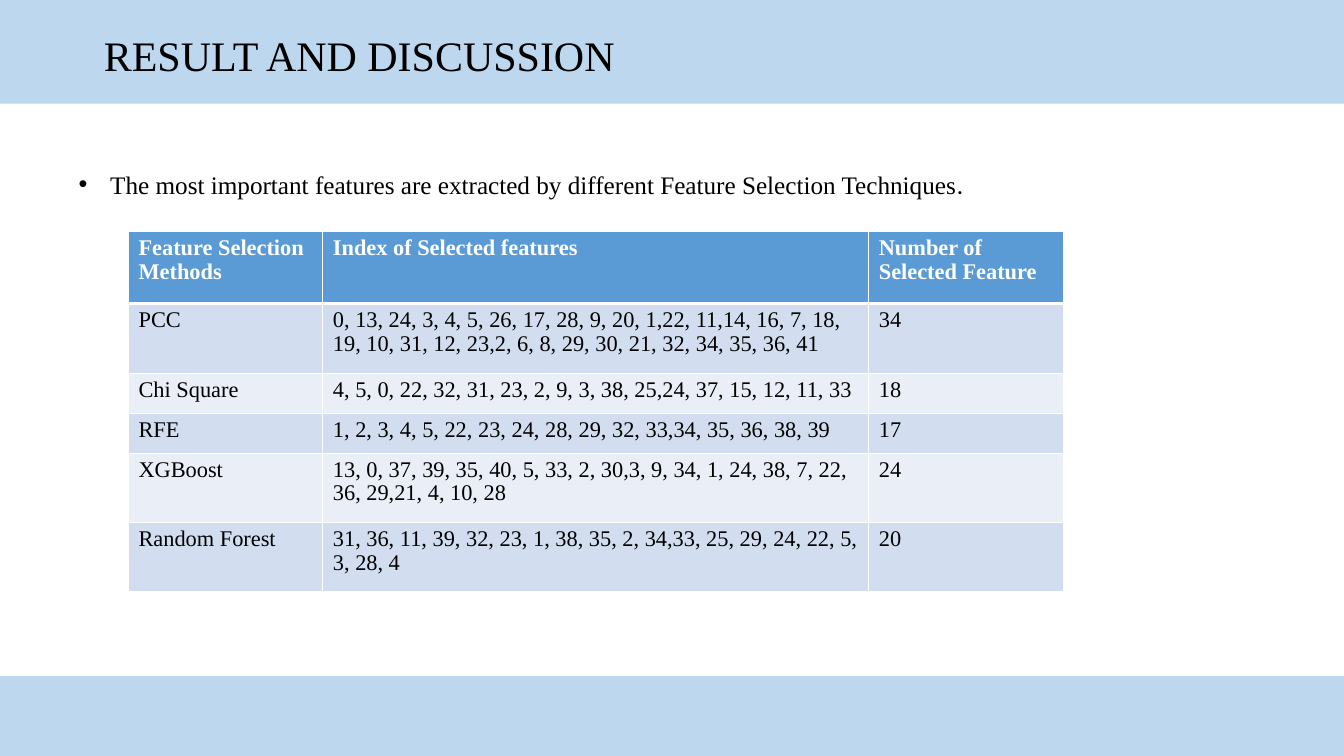
from dataclasses import dataclass

from pptx import Presentation
from pptx.dml.color import RGBColor
from pptx.enum.shapes import MSO_SHAPE
from pptx.enum.text import MSO_ANCHOR, MSO_AUTO_SIZE, PP_ALIGN
from pptx.oxml import parse_xml
from pptx.oxml.ns import nsdecls
from pptx.slide import Slide
from pptx.table import _Cell
from pptx.text.text import _Run
from pptx.util import Pt

RECTANGLE = MSO_SHAPE.RECTANGLE
LEFT = PP_ALIGN.LEFT
TOP, MIDDLE = MSO_ANCHOR.TOP, MSO_ANCHOR.MIDDLE
NO_AUTOFIT = MSO_AUTO_SIZE.NONE

SLIDE_WIDTH, SLIDE_HEIGHT = 960, 540


@dataclass(frozen=True)
class Theme:
    font: str = "Times New Roman"
    period_font: str = "Calibri"
    title_size: float = 30
    body_size: float = 18
    table_size: float = 16
    text: str = "000000"
    band: str = "BDD7EE"
    header_text: str = "FFFFFF"
    header_fill: str = "5B9BD5"
    row_fills: tuple[str, str] = ("D2DEEF", "EAEFF7")
    border: str = "FFFFFF"


@dataclass(frozen=True)
class TableRow:
    method: str
    indexes: str
    count: str
    height: float


THEME = Theme()
COLUMN_WIDTHS = (138.8, 390, 138.8)
ROWS = (
    TableRow("Feature Selection Methods", "Index of Selected features",
             "Number of Selected Feature", 51.5),
    TableRow("PCC", "0, 13, 24, 3, 4, 5, 26, 17, 28, 9, 20, 1,22, 11,14, 16, 7, 18, "
             "19, 10, 31, 12, 23,2, 6, 8, 29, 30, 21, 32, 34, 35, 36, 41", "34", 50),
    TableRow("Chi Square", "4, 5, 0, 22, 32, 31, 23, 2, 9, 3, 38, 25,24, 37, 15, 12, 11, 33",
             "18", 28.5),
    TableRow("RFE", "1, 2, 3, 4, 5, 22, 23, 24, 28, 29, 32, 33,34, 35, 36, 38, 39", "17", 28.5),
    TableRow("XGBoost", "13, 0, 37, 39, 35, 40, 5, 33, 2, 30,3, 9, 34, 1, 24, 38, 7, 22, "
             "36, 29,21, 4, 10, 28", "24", 49.5),
    TableRow("Random Forest", "31, 36, 11, 39, 32, 23, 1, 38, 35, 2, 34,33, 25, 29, 24, 22, 5, "
             "3, 28, 4", "20", 49.5),
)


def place(shape, left: float, top: float, width: float, height: float) -> None:
    shape.left, shape.top = Pt(left), Pt(top)
    shape.width, shape.height = Pt(width), Pt(height)


def fill_solid(target, color: str) -> None:
    target.fill.solid()
    target.fill.fore_color.rgb = RGBColor.from_string(color)


def format_run(run: _Run, size: float, color: str, bold: bool = False,
               font: str = THEME.font) -> None:
    run.font.name = font
    run.font.size = Pt(size)
    run.font.bold = bold
    run.font.color.rgb = RGBColor.from_string(color)


def add_title(slide: Slide) -> None:
    title = slide.shapes.title
    place(title, 0, 0, SLIDE_WIDTH, 74)
    fill_solid(title, THEME.band)
    frame = title.text_frame
    frame.text = "RESULT AND DISCUSSION"
    frame.auto_size = NO_AUTOFIT
    frame.vertical_anchor = MIDDLE
    frame.margin_left, frame.margin_top = Pt(74.2), Pt(7.4)
    paragraph = frame.paragraphs[0]
    paragraph.alignment = LEFT
    format_run(paragraph.runs[0], THEME.title_size, THEME.text)


def add_body(slide: Slide) -> None:
    body = slide.placeholders[1]
    place(body, 49, 117, 862.5, 351)
    frame = body.text_frame
    frame.text = ("The most important features are extracted by different "
                  "Feature Selection Techniques")
    frame.auto_size = NO_AUTOFIT
    frame.vertical_anchor = TOP
    paragraph = frame.paragraphs[0]
    paragraph.space_before = Pt(0)
    format_run(paragraph.runs[0], THEME.body_size, THEME.text)
    period = paragraph.add_run()
    period.text = "."
    format_run(period, THEME.body_size, THEME.text, font=THEME.period_font)
    # Hanging indent for the bullet
    properties = paragraph._p.get_or_add_pPr()
    properties.set("marL", str(Pt(22.5)))
    properties.set("indent", str(Pt(-22.5)))


def add_footer_band(slide: Slide) -> None:
    band_top = 483
    band = slide.shapes.add_shape(RECTANGLE, Pt(0), Pt(band_top), Pt(SLIDE_WIDTH),
                                  Pt(SLIDE_HEIGHT - band_top))
    band.shadow.inherit = False
    fill_solid(band, THEME.band)
    band.line.fill.background()


def set_borders(cell: _Cell, top_width: float, bottom_width: float) -> None:
    properties = cell._tc.get_or_add_tcPr()
    widths = {"lnL": 1, "lnR": 1, "lnT": top_width, "lnB": bottom_width}
    for position, (side, width) in enumerate(widths.items()):
        properties.insert(position, parse_xml(
            f'<a:{side} {nsdecls("a")} w="{Pt(width)}"><a:solidFill>'
            f'<a:srgbClr val="{THEME.border}"/></a:solidFill></a:{side}>'))


def format_cell(cell: _Cell, text: str, row_index: int) -> None:
    is_header = row_index == 0
    cell.text_frame.text = text
    paragraph = cell.text_frame.paragraphs[0]
    paragraph.line_spacing = 0.95
    format_run(paragraph.runs[0], THEME.table_size,
               THEME.header_text if is_header else THEME.text, bold=is_header)
    fill_solid(cell, THEME.header_fill if is_header else THEME.row_fills[(row_index - 1) % 2])
    set_borders(cell, 3 if row_index == 1 else 1, 3 if is_header else 1)


def add_feature_table(slide: Slide) -> None:
    frame = slide.shapes.add_table(
        len(ROWS), len(COLUMN_WIDTHS), Pt(91.8), Pt(165.4),
        Pt(sum(COLUMN_WIDTHS)), Pt(sum(row.height for row in ROWS)))
    table = frame.table
    for column, width in zip(table.columns, COLUMN_WIDTHS):
        column.width = Pt(width)
    for row_index, row in enumerate(ROWS):
        table.rows[row_index].height = Pt(row.height)
        for column_index, text in enumerate((row.method, row.indexes, row.count)):
            format_cell(table.cell(row_index, column_index), text, row_index)


def main() -> None:
    presentation = Presentation()
    presentation.slide_width = Pt(SLIDE_WIDTH)
    presentation.slide_height = Pt(SLIDE_HEIGHT)
    slide = presentation.slides.add_slide(presentation.slide_layouts[1])

    # Title band, bullet and footer band
    add_title(slide)
    add_body(slide)
    add_footer_band(slide)

    # Selected features per method
    add_feature_table(slide)

    presentation.save("out.pptx")


if __name__ == "__main__":
    main()
